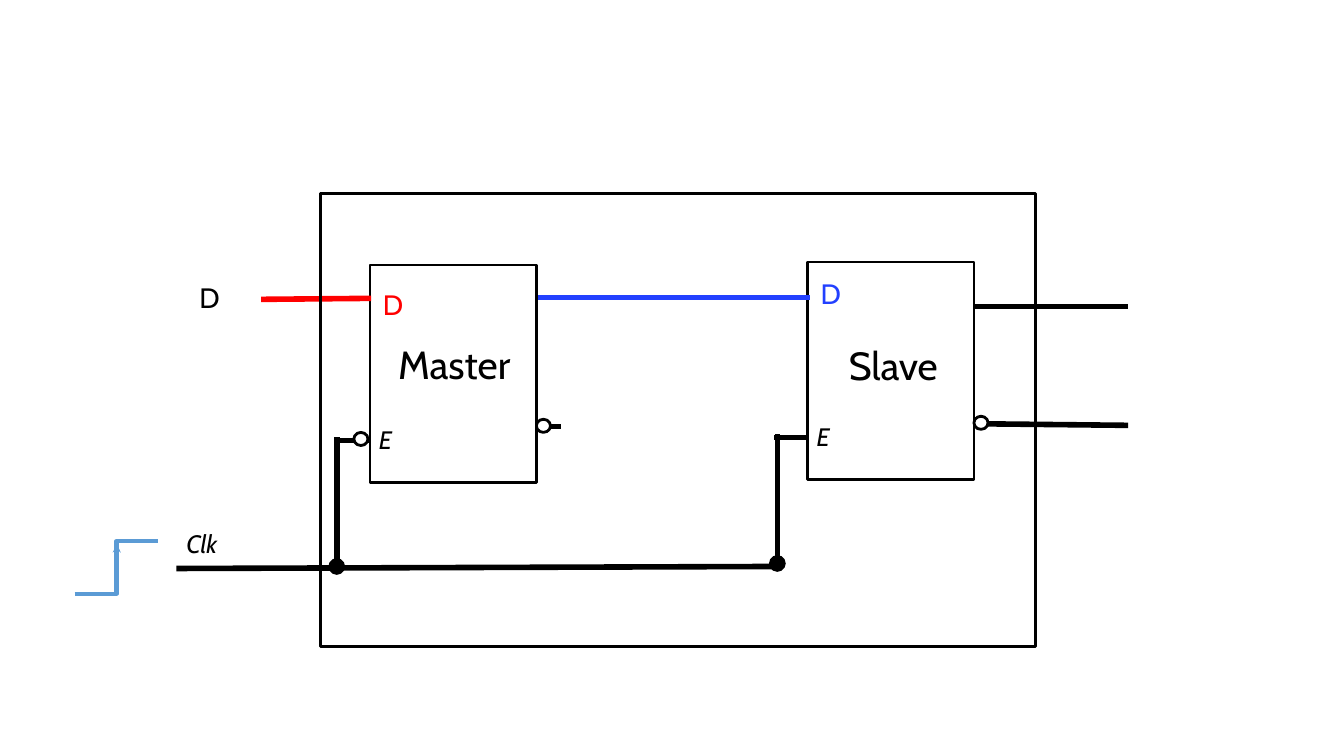
from dataclasses import dataclass

from lxml import etree
from pptx import Presentation
from pptx import util as u
from pptx.dml.color import RGBColor
from pptx.enum import shapes, text
from pptx.oxml.ns import qn


@dataclass(frozen=True)
class Theme:
    font: str = "Cabin"
    black: str = "000000"
    white: str = "FFFFFF"
    red: str = "FF0000"
    blue: str = "2240FF"
    edge: str = "5B9BD5"
    pin_size: int = 18
    data_size: int = 20
    name_size: int = 28
    wire: int = 4
    outline: int = 2


THEME = Theme()
LATCH_SIZE = (165, 216)
BUBBLE_SIZE = (14, 13)


def px(length):
    """100 px to the inch."""
    return u.Emu(length * 9144)


def color(code):
    return RGBColor.from_string(code)


def apply(target, values):
    for name, value in values.items():
        setattr(target, name, value)


def add_wire(page, start, end, ink=THEME.black, width=THEME.wire,
             head=None, tail=None, kind=shapes.MSO_CONNECTOR.STRAIGHT):
    wire = page.shapes.add_connector(kind, *map(px, (*start, *end)))
    wire.line.color.rgb = color(ink)
    wire.line.width = u.Pt(width)
    line = wire.line._get_or_add_ln()
    for tag, arrow in (("a:headEnd", head), ("a:tailEnd", tail)):
        if arrow:
            etree.SubElement(line, qn(tag)).set("type", arrow)
    etree.SubElement(wire._element.spPr, qn("a:effectLst"))
    return wire


def add_outline(page, place, size, kind=shapes.MSO_SHAPE.RECTANGLE, fill=THEME.white):
    box = page.shapes.add_shape(kind, *map(px, (*place, *size)))
    box.shadow.inherit = False
    if fill:
        box.fill.solid()
        box.fill.fore_color.rgb = color(fill)
    else:
        box.fill.background()
    box.line.color.rgb = color(THEME.black)
    box.line.width = u.Pt(THEME.outline)
    return box


def add_bubble(page, place):
    return add_outline(page, place, BUBBLE_SIZE, shapes.MSO_SHAPE.OVAL)


def add_label(page, words, place, size, points, ink=THEME.black, fill=None):
    """Centred label that does not wrap."""
    box = page.shapes.add_textbox(*map(px, (*place, *size)))
    if fill:
        box.fill.solid()
        box.fill.fore_color.rgb = color(fill)
    apply(box.text_frame, {"word_wrap": False,
                           "auto_size": text.MSO_AUTO_SIZE.SHAPE_TO_FIT_TEXT})
    para = box.text_frame.paragraphs[0]
    para.alignment = text.PP_ALIGN.CENTER
    span = para.add_run()
    span.text = words
    apply(span.font, {"name": THEME.font, "size": u.Pt(points)})
    span.font.color.rgb = color(ink)
    return box


def add_pin(page, words, place):
    """Italic, left-aligned signal name."""
    box = add_label(page, words, place, (69, 40), THEME.pin_size)
    box.text_frame.word_wrap = True
    para = box.text_frame.paragraphs[0]
    para.alignment = text.PP_ALIGN.LEFT
    para.runs[0].font.italic = True


def add_latch(page, left, top, data_ink, data_drop, outputs):
    # Wires run under the latch body
    for start, end, ink in outputs:
        add_wire(page, start, end, ink)
    add_wire(page, (left - 33, top + 174), (left + 25, top + 174))
    # Body, inverted output and pins
    add_outline(page, (left, top), LATCH_SIZE)
    add_bubble(page, (left + 165, top + 153))
    add_pin(page, "E", (left - 1, top + 153))
    add_label(page, "D", (left + 3, top + data_drop), (40, 44),
              THEME.data_size, data_ink)


def add_clock(page):
    add_wire(page, (175, 564), (771, 562))
    for x, bottom, top in ((334, 562, 434), (771, 559, 431)):
        add_wire(page, (x, bottom), (x, top), head="oval")
    add_pin(page, "Clk", (175, 519))
    # Rising edge
    add_wire(page, (74, 589), (157, 537), THEME.edge, 3,
             kind=shapes.MSO_CONNECTOR.ELBOW)
    add_wire(page, (115, 586), (116, 540), THEME.edge, 2, tail="stealth")


def main():
    deck = Presentation()
    deck.slide_width, deck.slide_height = px(1333), px(750)
    page = deck.slides.add_slide(deck.slide_layouts[6])

    add_clock(page)

    # Slave first, so that the link from the master lies on top
    add_latch(page, 801, 260, THEME.blue, 9,
              [((930, 304), (1119, 304), THEME.black),
               ((933, 420), (1119, 422), THEME.black)])
    add_latch(page, 367, 263, THEME.red, 17,
              [((499, 295), (803, 295), THEME.blue),
               ((499, 423), (556, 423), THEME.black)])

    # Inverted enable and data input of the master
    add_bubble(page, (351, 429))
    add_wire(page, (259, 297), (368, 296), THEME.red)
    add_label(page, "D", (188, 273), (40, 44), THEME.data_size, fill=THEME.white)

    # Latch names and flip-flop frame
    add_label(page, "Master", (381, 333), (139, 57), THEME.name_size)
    add_label(page, "Slave", (831, 334), (110, 57), THEME.name_size)
    add_outline(page, (318, 192), (709, 449), fill=None)

    deck.save("out.pptx")


if __name__ == "__main__":
    main()
